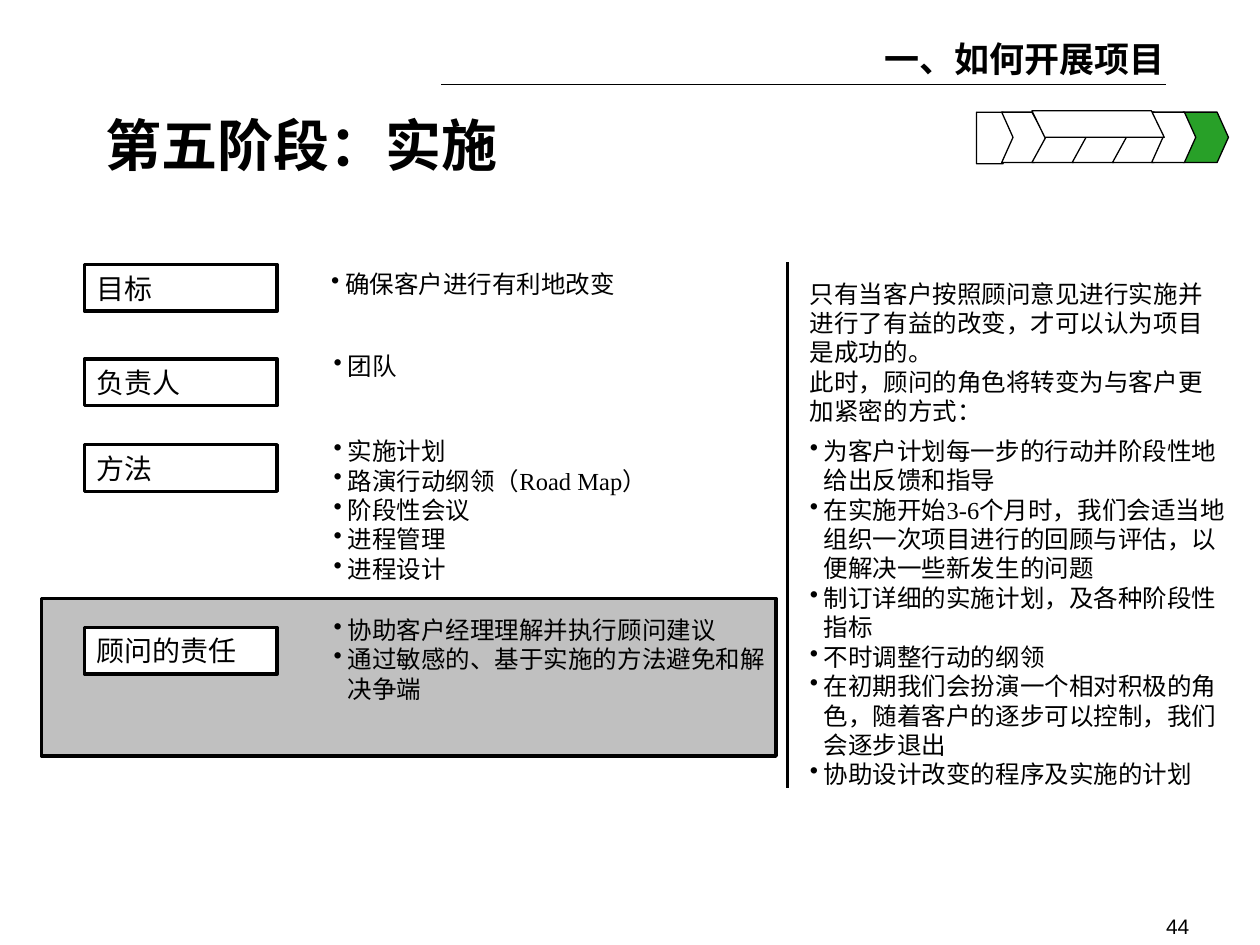
"""Build the slide on phase five, implementation, of a consulting project."""
import pptx
import pptx.util
import pptx.dml.color
import pptx.enum.shapes
import pptx.enum.text
from lxml import etree
from pptx.oxml.ns import qn

Inches = pptx.util.Inches
Align = pptx.enum.text.PP_ALIGN
Anchor = pptx.enum.text.MSO_ANCHOR

THEME = {
    "ink": "000000", "paper": "FFFFFF", "band": "C0C0C0", "active": "28A028",
    "serif": "Times New Roman", "sans": "Arial",
    "title": 32, "section": 20, "label": 16, "body": 14, "number": 12,
    "thin": 0.75, "thick": 2,
}

SECTION = "一、如何开展项目"
TITLE = "第五阶段：实施"
PAGE = "44"
ROWS = [
    ("目标", 2.1, (2.53, 2.08, 2.45, 0.34), ["确保客户进行有利地改变"]),
    ("负责人", 2.85, (2.55, 2.73, 0.7, 0.34), ["团队"]),
    ("方法", 3.53, (2.55, 3.41, 3.14, 1.27),
     ["实施计划", "路演行动纲领（Road Map）", "阶段性会议", "进程管理", "进程设计"]),
    ("顾问的责任", 4.98, (2.55, 4.83, 3.79, 0.8),
     ["协助客户经理理解并执行顾问建议", "通过敏感的、基于实施的方法避免和解决争端"]),
]
INTRO = [
    "只有当客户按照顾问意见进行实施并进行了有益的改变，才可以认为项目是成功的。",
    "此时，顾问的角色将转变为与客户更加紧密的方式：",
]
ROLES = [
    "为客户计划每一步的行动并阶段性地给出反馈和指导",
    "在实施开始3-6个月时，我们会适当地组织一次项目进行的回顾与评估，以便解决一些新发生的问题",
    "制订详细的实施计划，及各种阶段性指标",
    "不时调整行动的纲领",
    "在初期我们会扮演一个相对积极的角色，随着客户的逐步可以控制，我们会逐步退出",
    "协助设计改变的程序及实施的计划",
]


def color(name):
    return pptx.dml.color.RGBColor.from_string(THEME[name])


def add_bullet(p):
    pPr = p._p.get_or_add_pPr()
    pPr.set("marL", str(Inches(0.11)))
    pPr.set("indent", str(-Inches(0.11)))
    bu_clr = etree.SubElement(pPr, qn("a:buClr"))
    etree.SubElement(bu_clr, qn("a:srgbClr"), val=THEME["ink"])
    etree.SubElement(pPr, qn("a:buChar"), char="•")


def write(sp, lines, size="body", font="serif", bold=False, bullet=False, wrap=True,
          align=Align.LEFT, anchor=Anchor.MIDDLE, inset=(0.1, 0.05), spacing=None):
    tf = sp.text_frame
    tf.auto_size = pptx.enum.text.MSO_AUTO_SIZE.NONE
    tf.word_wrap = wrap
    tf.vertical_anchor = anchor
    tf.margin_left = tf.margin_right = Inches(inset[0])
    tf.margin_top = tf.margin_bottom = Inches(inset[1])
    for i, line in enumerate(lines):
        p = tf.paragraphs[0] if i == 0 else tf.add_paragraph()
        if bullet:
            add_bullet(p)
        p.alignment = align
        if spacing:
            p.line_spacing = spacing
        r = p.add_run()
        r.text = line
        r.font.name = THEME[font]
        r.font.size = pptx.util.Pt(THEME[size])
        r.font.bold = bold
        r.font.color.rgb = color("ink")


def add_text(s, box, lines, **style):
    write(s.shapes.add_textbox(*map(Inches, box)), lines, **style)


def paint(sp, fill, weight):
    sp.shadow.inherit = False
    sp.fill.solid()
    sp.fill.fore_color.rgb = color(fill)
    sp.line.color.rgb = color("ink")
    sp.line.width = pptx.util.Pt(THEME[weight])


def add_box(s, box, fill="paper", weight="thick", kind="RECTANGLE"):
    sp = s.shapes.add_shape(pptx.enum.shapes.MSO_SHAPE[kind], *map(Inches, box))
    paint(sp, fill, weight)
    return sp


def add_line(s, x1, y1, x2, y2, weight):
    straight = pptx.enum.shapes.MSO_CONNECTOR.STRAIGHT
    line = s.shapes.add_connector(straight, *map(Inches, (x1, y1, x2, y2)))
    line.line.color.rgb = color("ink")
    line.line.width = pptx.util.Pt(THEME[weight])
    etree.SubElement(line._element.spPr, qn("a:effectLst"))


def add_chevron(shapes, left, body, tip, notch=True, fill="paper", bottom=1.29):
    top, middle = 0.89, 1.09
    points = [(left, top), (left + body, top), (left + body + tip, middle),
              (left + body, bottom), (left, bottom)]
    if notch:
        points.append((left + tip, middle))
    points = [(Inches(x), Inches(y)) for x, y in points]
    builder = shapes.build_freeform(*points[0], scale=1.0)
    builder.add_line_segments(points[1:], close=True)
    paint(builder.convert_to_shape(), fill, "thin")


def add_progress(s):
    add_chevron(s.shapes, 7.75, 0.21, 0.09, notch=False, bottom=1.3)
    add_chevron(s.shapes, 7.95, 0.26, 0.09)
    add_chevron(s.shapes, 9.39, 0.27, 0.09, fill="active")
    steps = s.shapes.add_group_shape()
    for i in range(3):
        add_chevron(steps.shapes, 8.19 + 0.32 * i, 0.33, 0.11)
    add_chevron(s.shapes, 9.14, 0.26, 0.09)
    cover = add_box(s, (8.19, 0.88, 1.05, 0.21), weight="thin", kind="PARALLELOGRAM")
    cover.adjustments[0] = 0.485
    cover._element.spPr.get_or_add_xfrm().set("flipV", "1")


def main():
    prs = pptx.Presentation()
    prs.slide_width, prs.slide_height = Inches(10), Inches(7.5)
    s = prs.slides.add_slide(prs.slide_layouts[5])

    add_line(s, 3.5, 0.67, 9.25, 0.67, "thin")
    add_text(s, (6.92, 0.25, 4, 0.44), [SECTION], size="section", bold=True,
             anchor=Anchor.TOP)
    title = s.shapes.title
    title.left, title.top, title.width, title.height = map(Inches, (0.84, 0.94, 8.44, 0.48))
    write(title, [TITLE], size="title", font="sans", bold=True, anchor=Anchor.TOP,
          inset=(0, 0), spacing=0.9)

    add_box(s, (0.33, 4.75, 5.83, 1.25), fill="band")
    for label, top, box, items in ROWS:
        write(add_box(s, (0.67, top, 1.53, 0.37)), [label], size="label")
        add_text(s, box, items, bullet=True, wrap=len(items) > 1)

    add_progress(s)
    add_line(s, 6.25, 2.08, 6.25, 6.25, "thick")
    add_text(s, (6.33, 2.16, 3.5, 1.27), INTRO)
    add_text(s, (6.33, 3.41, 3.5, 2.9), ROLES, bullet=True)
    add_text(s, (7.37, 7.25, 2.07, 0.2), [PAGE], size="number", font="sans",
             align=Align.RIGHT, anchor=Anchor.TOP, inset=(0, 0))
    prs.save("out.pptx")


if __name__ == "__main__":
    main()
